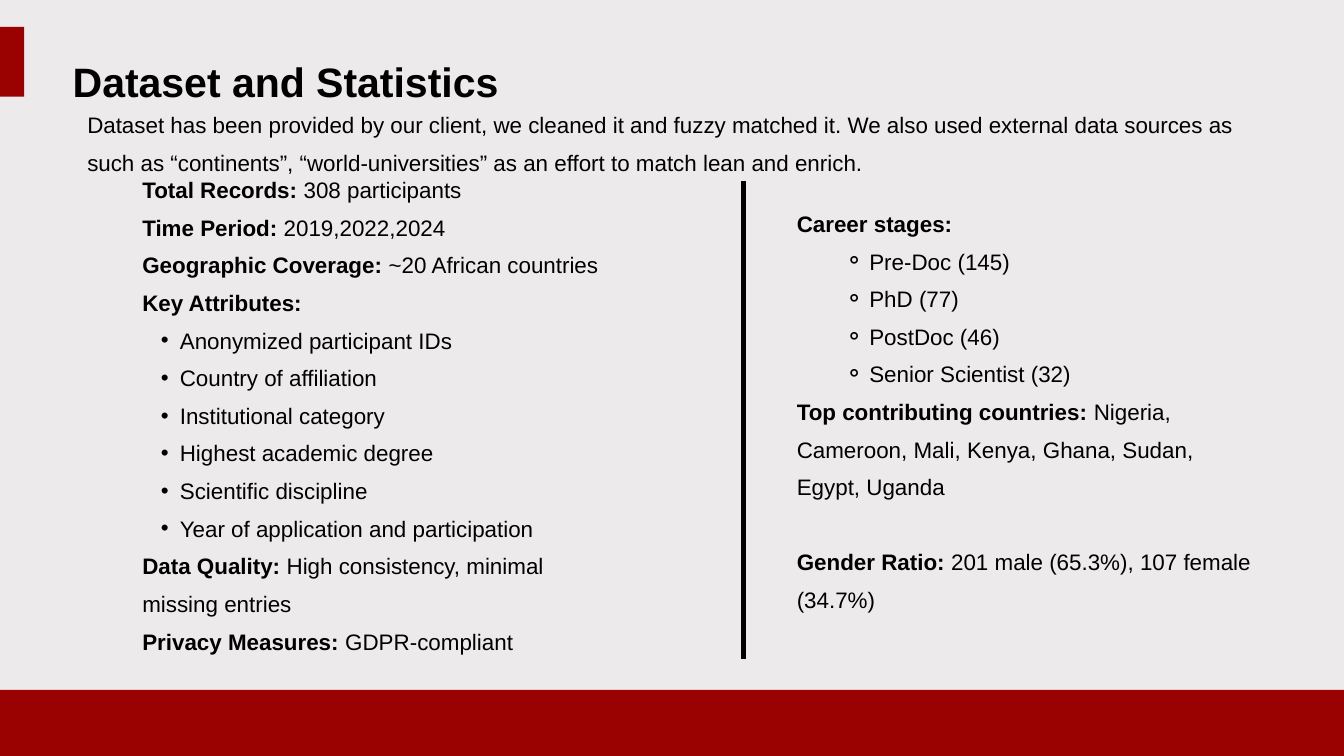
"""Build the dataset and statistics slide."""
from dataclasses import dataclass

from lxml.etree import SubElement
from pptx import Presentation
from pptx.dml.color import RGBColor
from pptx.enum.shapes import MSO_CONNECTOR, MSO_SHAPE
from pptx.enum.text import PP_ALIGN
from pptx.oxml.ns import qn
from pptx.util import Cm, Pt


@dataclass(frozen=True)
class Theme:
    """Colours and type sizes of the slide."""
    background: RGBColor = RGBColor(0xEC, 0xEA, 0xEA)
    accent: RGBColor = RGBColor(0x99, 0x02, 0x01)
    ink: RGBColor = RGBColor(0, 0, 0)
    font: str = "Arial"
    title: Pt = Pt(22)
    body: Pt = Pt(12)
    rule: Pt = Pt(3)
    line_spacing: float = 1.4
    section_gap: Pt = Pt(20)


@dataclass(frozen=True)
class Bullet:
    """Bullet sign with its text indent and hanging distance."""
    sign: str
    indent: Cm
    hanging: Cm


THEME = Theme()
DOT = Bullet("•", Cm(0.71), Cm(0.36))
RING = Bullet("⚬", Cm(1.37), Cm(0.46))

INTRO = ("Dataset has been provided by our client, we cleaned it and fuzzy matched it. "
         "We also used external data sources as such as “continents”, "
         "“world-universities” as an effort to match lean and enrich.")
ATTRIBUTES = ["Anonymized participant IDs", "Country of affiliation",
              "Institutional category", "Highest academic degree",
              "Scientific discipline", "Year of application and participation"]
STAGES = ["Pre-Doc (145)", "PhD (77)", "PostDoc (46)", "Senior Scientist (32)"]


def apply_format(target, values):
    """Set each named attribute of the target."""
    for name, value in values.items():
        setattr(target, name, value)


def add_block(slide, left, top, width, height):
    """Add a filled accent rectangle."""
    shape = slide.shapes.add_shape(MSO_SHAPE.RECTANGLE, Cm(left), Cm(top), Cm(width), Cm(height))
    shape.shadow.inherit = False
    shape.fill.solid()
    shape.fill.fore_color.rgb = THEME.accent
    shape.line.fill.background()


def add_divider(slide, x, top, bottom):
    """Add the vertical rule between the columns."""
    connector = slide.shapes.add_connector(
        MSO_CONNECTOR.STRAIGHT, Cm(x), Cm(top), Cm(x), Cm(bottom))
    connector.line.color.rgb = THEME.ink
    connector.line.width = THEME.rule
    SubElement(connector._element.spPr, qn("a:effectLst"))


def add_bullet(paragraph, bullet):
    """Give the paragraph a bullet and a hanging indent."""
    properties = paragraph._p.get_or_add_pPr()
    properties.set("marL", str(bullet.indent))
    properties.set("indent", str(-bullet.hanging))
    color = SubElement(properties, qn("a:buClr"))
    SubElement(color, qn("a:srgbClr"), val=str(THEME.ink))
    SubElement(properties, qn("a:buFont"), typeface=THEME.font)
    SubElement(properties, qn("a:buChar"), char=bullet.sign)


def add_run(paragraph, text, size, bold):
    """Add a run of text in the theme font."""
    run = paragraph.add_run()
    run.text = text
    apply_format(run.font, {"name": THEME.font, "size": size, "bold": bold})
    run.font.color.rgb = THEME.ink


def add_text(slide, left, top, width, height, entries, size=THEME.body, align=PP_ALIGN.LEFT):
    """Add a text box from entries of label, text and optional bullet or space before."""
    box = slide.shapes.add_textbox(Cm(left), Cm(top), Cm(width), Cm(height))
    frame = box.text_frame
    apply_format(frame, {"word_wrap": True, "margin_left": 0, "margin_right": 0,
                         "margin_top": 0, "margin_bottom": 0})
    for index, (label, text, bullet, space) in enumerate(entries):
        paragraph = frame.add_paragraph() if index else frame.paragraphs[0]
        if bullet:
            add_bullet(paragraph, bullet)
        apply_format(paragraph, {"alignment": align, "line_spacing": THEME.line_spacing,
                                 "space_before": space})
        for part, bold in ((label, True), (text, False)):
            if part:
                add_run(paragraph, part, size, bold)


def entry(label="", text="", bullet=None, space=Pt(0)):
    """Describe one paragraph."""
    return label, text, bullet, space


def main():
    """Build and save the slide."""
    presentation = Presentation()
    apply_format(presentation, {"slide_width": Cm(25.4), "slide_height": Cm(14.29)})
    slide = presentation.slides.add_slide(presentation.slide_layouts[6])
    slide.background.fill.solid()
    slide.background.fill.fore_color.rgb = THEME.background

    add_block(slide, 0, 0.51, 0.46, 1.32)
    add_block(slide, 0, 13.04, 25.4, 1.25)
    add_text(slide, 0.79, 0.69, 9.22, 0.94, [entry("Dataset and Statistics")],
             THEME.title, PP_ALIGN.CENTER)
    add_text(slide, 1.65, 1.9, 22.17, 1.22, [entry(text=INTRO)])
    add_text(slide, 2.69, 3.13, 22.53, 9.25, [
        entry("Total Records:", " 308 participants"),
        entry("Time Period:", " 2019,2022,2024"),
        entry("Geographic Coverage:", " ~20 African countries"),
        entry("Key Attributes:"),
        *[entry(text=attribute, bullet=DOT) for attribute in ATTRIBUTES],
        entry("Data Quality:", " High consistency, minimal"),
        entry(text="missing entries"),
        entry("Privacy Measures:", " GDPR-compliant"),
    ], align=PP_ALIGN.JUSTIFY)
    add_divider(slide, 14.05, 3.43, 12.45)
    add_text(slide, 15.06, 3.77, 8.79, 8.7, [
        entry("Career stages:"),
        *[entry(text=stage, bullet=RING) for stage in STAGES],
        entry("Top contributing countries:",
              " Nigeria, Cameroon, Mali, Kenya, Ghana, Sudan, Egypt, Uganda"),
        entry("Gender Ratio:", " 201 male (65.3%), 107 female (34.7%)",
              space=THEME.section_gap),
    ])
    presentation.save("out.pptx")


if __name__ == "__main__":
    main()
